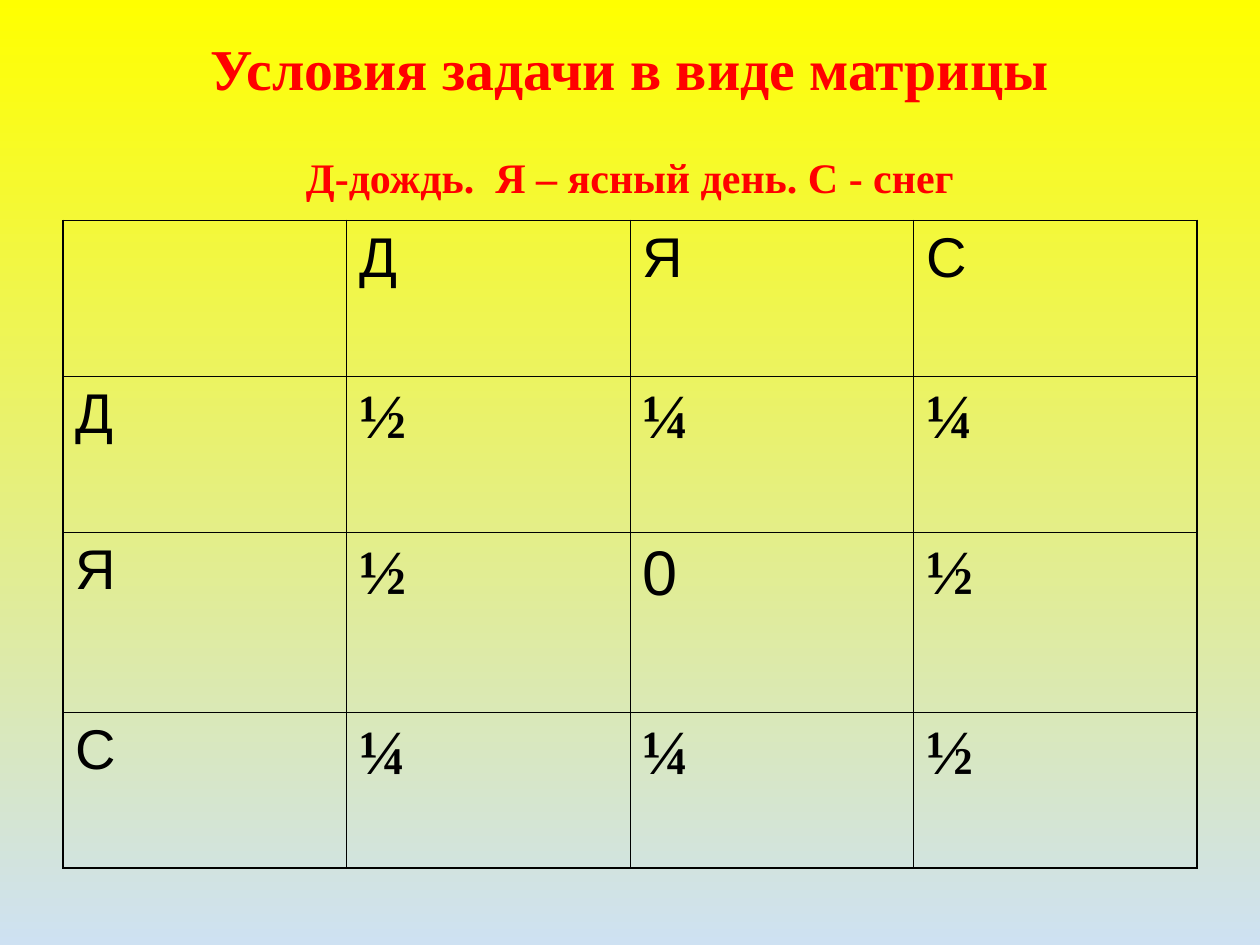
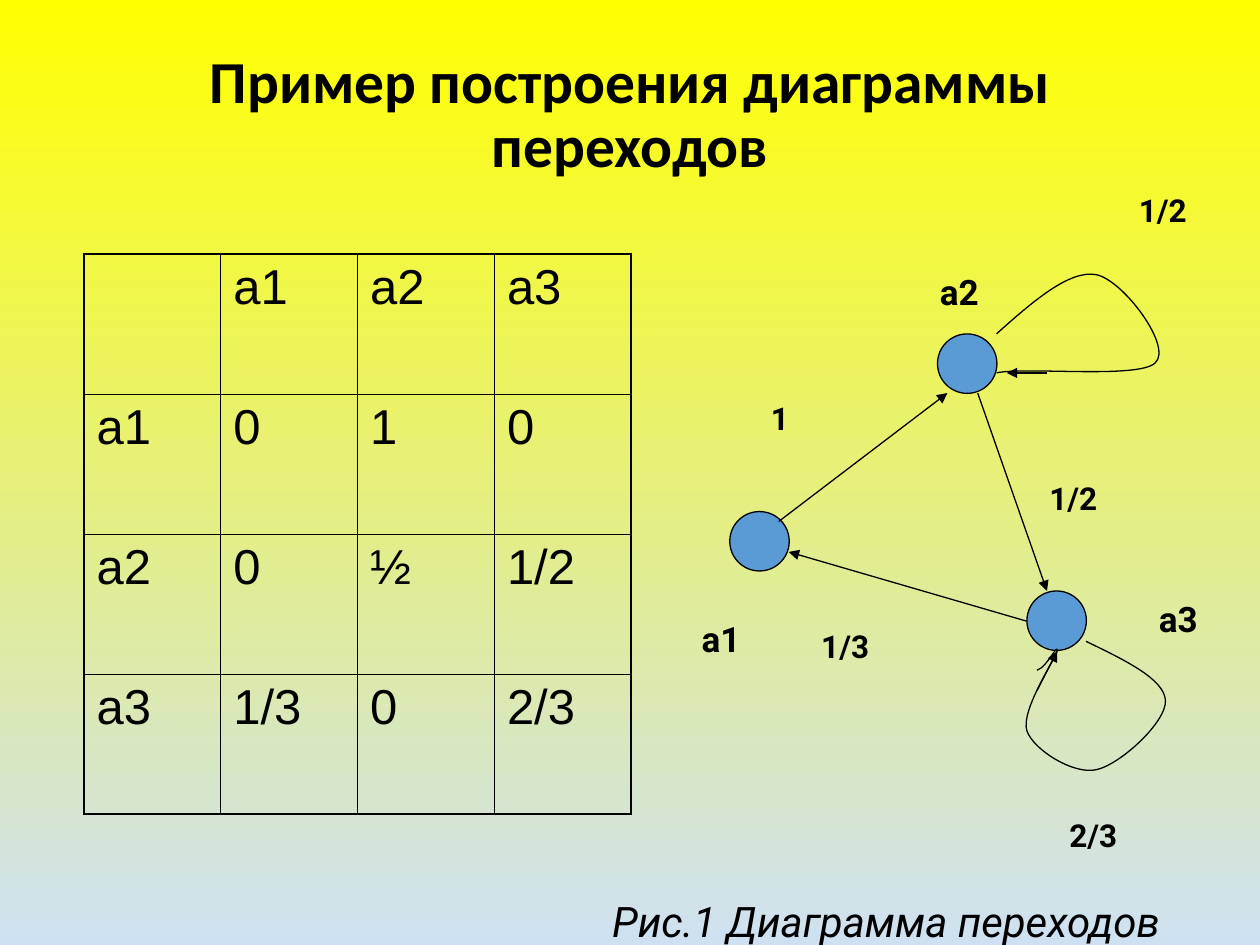
from lxml.etree import SubElement
from pptx import Presentation
from pptx.dml.color import RGBColor
from pptx.enum.shapes import MSO_CONNECTOR as Connector, MSO_SHAPE as Preset
from pptx.enum.text import MSO_ANCHOR as Anchor, MSO_AUTO_SIZE as AutoSize, PP_ALIGN as Align
from pptx.oxml.ns import qn
from pptx.util import Pt

# Shared look
BLACK, RED, NODE_BLUE = "000000", "FF0000", "5B9BD5"
SKY = ("FFFF00", "CEE1F2")
SERIF, SANS, LABEL_FONT, HEADING_FONT = "Times New Roman", "Arial", "Roboto", "Calibri"
OUTER_LINE, INNER_LINE, DRAWN_LINE = 1.08, 0.45, 0.75

# Content: weather matrix
WEATHER_TITLE = "Условия задачи в виде матрицы"
WEATHER_KEY = "Д-дождь.  Я – ясный день. С - снег"
WEATHER = [["", "Д", "Я", "С"],
           ["Д", "½", "¼", "¼"],
           ["Я", "½", "0", "½"],
           ["С", "¼", "¼", "½"]]
WEATHER_ROWS = [89, 89, 103, 89]

# Content: transition diagram
DIAGRAM_TITLE = "Пример построения диаграммы переходов"
TRANSITIONS = [["", "a1", "a2", "a3"],
               ["a1", "0", "1", "0"],
               ["a2", "0", "½", "1/2"],
               ["a3", "1/3", "0", "2/3"]]
CAPTION = "Рис.1 Диаграмма переходов"
NODE_SIZE = 34
NODES = [(417, 292.3), (535.7, 190.8), (586.8, 337.7)]
NODE_NAMES = [("а2", 530, 151.2, 57), ("а1", 393.8, 349.2, 40), ("а3", 655.2, 337.7, 45.4)]
ODDS = [("1/2", 643.7, 105.8, 51), ("2/3", 604, 463, 62.6), ("1", 433.4, 224.6, 51),
        ("1/3", 462.2, 355, 73.4), ("1/2", 592.6, 270, 67.7)]
ARROWS = [((445, 298), (541.4, 224.6)), ((558.7, 224.6), (598.3, 337.7)),
          ((586.8, 355), (450.7, 315.4)), ((598.3, 213.1), (575.3, 213.1)),
          ((592.6, 394.6), (604.1, 372.2))]
# Each loop: a start, then two control points and an end for every curve
LOOPS = [
    [(569.5, 190.8),
     (590.4, 172.1), (611.3, 154.1), (626.4, 157),
     (641.5, 159.8), (670.3, 198), (660.2, 207.4),
     (650.9, 216.7), (586.1, 209.5), (569.5, 213.1)],
    [(620.6, 366.5),
     (643, 377.3), (665.3, 388.1), (666, 400.3),
     (666.7, 412.6), (640.1, 437), (626.4, 439.9),
     (613.4, 442.8), (590.4, 428.4), (586.8, 417.6),
     (583.2, 406.1), (602.6, 377.3), (604.1, 372.2),
     (604.8, 366.5), (598.3, 381.6), (592.6, 383)],
]


def color(code):
    return RGBColor.from_string(code)


def points(*lengths):
    return [Pt(length) for length in lengths]


def add_page(deck):
    page = deck.slides.add_slide(deck.slide_layouts[6])
    fill = page.background.fill
    fill.gradient()
    fill.gradient_angle = 270
    for stop, code, position in zip(fill.gradient_stops, SKY, (0, 1)):
        stop.color.rgb = color(code)
        stop.position = position
    return page


def add_span(para, text, size, font, code=BLACK, bold=False, italic=False):
    span = para.add_run()
    span.text = text
    span.font.size, span.font.name = Pt(size), font
    span.font.bold, span.font.italic = bold, italic
    span.font.color.rgb = color(code)


def add_text(page, place, text, size, font, align=Align.LEFT, **style):
    box = page.shapes.add_textbox(*points(*place))
    box.text_frame.word_wrap = True
    box.text_frame.auto_size = AutoSize.SHAPE_TO_FIT_TEXT
    para = box.text_frame.paragraphs[0]
    para.alignment = align
    add_span(para, text, size, font, **style)
    return box


def add_title(page, height, text, size, font, code):
    frame = add_text(page, (36, 21.6, 648, height), text, size, font,
                     Align.CENTER, code=code, bold=True).text_frame
    frame.auto_size = AutoSize.NONE
    frame.vertical_anchor = Anchor.MIDDLE
    frame.paragraphs[0].line_spacing = 0.9


def set_borders(cell, widths):
    props = cell._tc.get_or_add_tcPr()
    for side, width in zip("LRTB", widths):
        line = SubElement(props, qn(f"a:ln{side}"), w=str(Pt(width)))
        SubElement(SubElement(line, qn("a:solidFill")), qn("a:srgbClr"), val=BLACK)
    cell.fill.background()


def add_matrix(page, left, top, column_width, heights, rows, style_of):
    count = len(rows[0])
    frame = page.shapes.add_table(len(rows), count,
                                  *points(left, top, column_width * count, sum(heights)))
    table = frame.table
    table.first_row = table.horz_banding = False
    for column in table.columns:
        column.width = Pt(column_width)
    for r, (row, height) in enumerate(zip(rows, heights)):
        table.rows[r].height = Pt(height)
        for c, text in enumerate(row):
            cell = table.cell(r, c)
            edges = (c == 0, c == count - 1, r == 0, r == len(rows) - 1)
            set_borders(cell, [OUTER_LINE if edge else INNER_LINE for edge in edges])
            if text:
                add_span(cell.text_frame.paragraphs[0], text, **style_of(text))


def weather_style(text):
    if text in "½¼":
        return dict(size=36, font=SERIF, bold=True)
    return dict(size=36 if text == "0" else 32, font=SANS)


def transition_style(text):
    return dict(size=28, font=SANS)


def draw_line(shape):
    shape.line.color.rgb = color(BLACK)
    shape.line.width = Pt(DRAWN_LINE)


def add_node(page, left, top):
    node = page.shapes.add_shape(Preset.OVAL, *points(left, top, NODE_SIZE, NODE_SIZE))
    node.shadow.inherit = False
    node.fill.solid()
    node.fill.fore_color.rgb = color(NODE_BLUE)
    draw_line(node)


def add_arrow(page, start, end):
    arrow = page.shapes.add_connector(Connector.STRAIGHT, *points(*start, *end))
    draw_line(arrow)
    SubElement(arrow.line._get_or_add_ln(), qn("a:tailEnd"), type="triangle")
    SubElement(arrow._element.spPr, qn("a:effectLst"))


def add_loop(page, start, *rest):
    builder = page.shapes.build_freeform(*points(*start))
    builder.add_line_segments([points(*point) for point in rest], close=False)
    loop = builder.convert_to_shape()
    loop.shadow.inherit = False
    loop.fill.background()
    draw_line(loop)
    # Turn every three straight segments into one Bezier curve
    outline = next(loop._element.iter(qn("a:path")))
    segments = outline.findall(qn("a:lnTo"))
    for first in range(0, len(segments), 3):
        curve = SubElement(outline, qn("a:cubicBezTo"))
        for segment in segments[first:first + 3]:
            curve.append(segment[0])
            outline.remove(segment)


def build_weather(deck):
    page = add_page(deck)
    add_title(page, 39, WEATHER_TITLE, 33, SERIF, RED)
    add_matrix(page, 36, 126, 162, WEATHER_ROWS, WEATHER, weather_style)
    add_text(page, (36, 82.8, 648, 36), WEATHER_KEY, 24, SERIF,
             Align.CENTER, code=RED, bold=True)


def build_diagram(deck):
    page = add_page(deck)
    add_title(page, 90, DIAGRAM_TITLE, 34, HEADING_FONT, BLACK)
    add_matrix(page, 48, 145.2, 78.2, [80] * 4, TRANSITIONS, transition_style)
    for node in NODES:
        add_node(page, *node)
    for arrow in ARROWS:
        add_arrow(page, *arrow)
    for loop in LOOPS:
        add_loop(page, *loop)
    for labels, size, height in ((NODE_NAMES, 20, 31.7), (ODDS, 18, 28.8)):
        for text, left, top, width in labels:
            add_text(page, (left, top, width, height), text, size, LABEL_FONT, bold=True)
    add_text(page, (342.7, 508.3, 377.3, 36), CAPTION, 24, LABEL_FONT, italic=True)


def main():
    deck = Presentation()
    deck.slide_width, deck.slide_height = points(720, 540)
    build_weather(deck)
    build_diagram(deck)
    deck.save("out.pptx")


if __name__ == "__main__":
    main()
